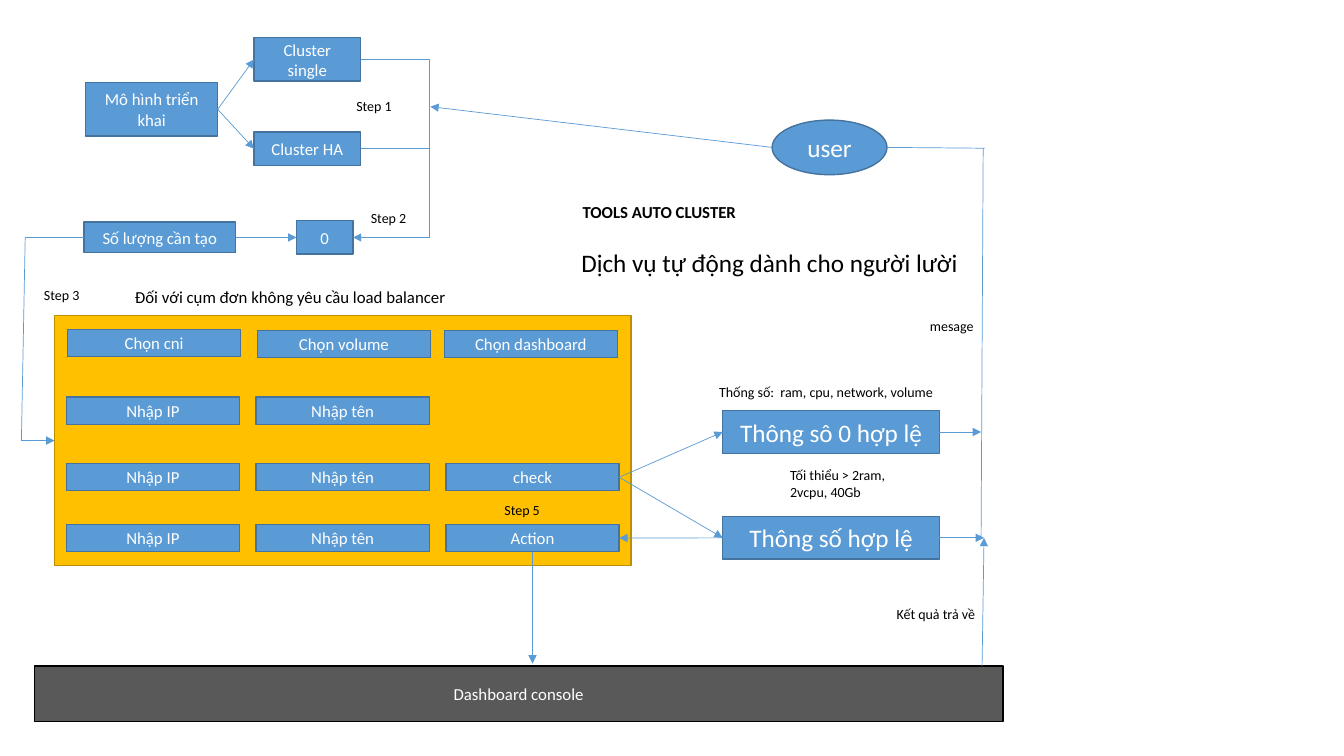
"""Build the flow chart slide of the automatic cluster tool."""
import pptx
import pptx.dml.color
import pptx.enum.shapes
import pptx.enum.text
import pptx.oxml
import pptx.oxml.ns
import pptx.util

Pt = pptx.util.Pt
RECT = pptx.enum.shapes.MSO_SHAPE.RECTANGLE
OVAL = pptx.enum.shapes.MSO_SHAPE.OVAL
STRAIGHT = pptx.enum.shapes.MSO_CONNECTOR.STRAIGHT
BLUE, BLUE_EDGE = "5B9BD5", "43739E"


def paint(color_format, color):
    color_format.rgb = pptx.dml.color.RGBColor.from_string(color)


def write(sp, text, size, color, bold=False):
    tf = sp.text_frame
    tf.word_wrap = True
    tf.text = text
    r = tf.paragraphs[0].runs[0]
    r.font.name = "Calibri"
    r.font.size = Pt(size)
    r.font.bold = bold
    paint(r.font.color, color)


prs = pptx.Presentation()
prs.slide_width, prs.slide_height = Pt(960), Pt(540)
s = prs.slides.add_slide(prs.slide_layouts[6])

boxes = [
    ("", RECT, 39, 225.4, 411.8, 178.6, 12, "FFC000", "BD8E00"),
    ("Số lượng cần tạo", RECT, 60, 158.6, 108.3, 22, 12, BLUE, BLUE_EDGE),
    ("0", RECT, 211.8, 157.7, 40.3, 23.8, 12, BLUE, BLUE_EDGE),
    ("Mô hình triển khai", RECT, 61.2, 59, 94.3, 38.2, 12, BLUE, BLUE_EDGE),
    ("Cluster single", RECT, 181.4, 27, 76.3, 31, 12, BLUE, BLUE_EDGE),
    ("Cluster HA", RECT, 181.4, 94.3, 76.3, 23.8, 12, BLUE, BLUE_EDGE),
    ("Chọn cni", RECT, 48.2, 235.4, 123.8, 19.4, 12, BLUE, BLUE_EDGE),
    ("Chọn volume", RECT, 183.8, 236.2, 123.8, 19.4, 12, BLUE, BLUE_EDGE),
    ("Chọn dashboard", RECT, 317.3, 236.2, 123.8, 19.4, 12, BLUE, BLUE_EDGE),
    ("Dashboard console", RECT, 24.5, 475.8, 691.9, 39.6, 12, "595959", "000000"),
    ("Thông sô 0 hợp lệ", RECT, 516.2, 293.4, 154.8, 30.4, 18, BLUE, BLUE_EDGE),
    ("Thông số hợp lệ", RECT, 516.2, 369, 154.8, 30.4, 18, BLUE, BLUE_EDGE),
    ("user", OVAL, 551.5, 85.8, 82.1, 39, 18, BLUE, BLUE_EDGE),
]
for top, action in [(283.7, ""), (331.2, "check"), (374.6, "Action")]:
    for column, text in enumerate(["Nhập IP", "Nhập tên", action]):
        if text:
            left = 47.3 + 135.6 * column
            boxes.append((text, RECT, left, top, 123.8, 19.4, 12, BLUE, BLUE_EDGE))

shapes = {}
for text, kind, left, top, width, height, size, fill, edge in boxes:
    sp = s.shapes.add_shape(kind, Pt(left), Pt(top), Pt(width), Pt(height))
    sp.shadow.inherit = False
    sp.fill.solid()
    paint(sp.fill.fore_color, fill)
    paint(sp.line.color, edge)
    sp.line.width = Pt(1)
    if text:
        write(sp, text, size, "FFFFFF")
        sp.text_frame.vertical_anchor = pptx.enum.text.MSO_ANCHOR.MIDDLE
        sp.text_frame.paragraphs[0].alignment = pptx.enum.text.PP_ALIGN.CENTER
    shapes[text] = sp

labels = [
    ("TOOLS AUTO CLUSTER", 409, 140.4, 128.2, 21.6, 12, True),
    ("Dịch vụ tự động dành cho người lười", 408.2, 173, 293, 29, 18, False),
    ("Đối với cụm đơn không yêu cầu load balancer", 89.3, 201, 370.8, 21.6, 12, False),
    ("Step 1", 247.4, 66.2, 46, 19.4, 10, False),
    ("Step 2", 257.8, 146.2, 46, 19.4, 10, False),
    ("Step 3", 24.3, 201, 46, 19.4, 10, False),
    ("Step 5", 353.2, 355, 46, 19.4, 10, False),
    ("mesage", 657.2, 223.4, 50, 19.4, 10, False),
    ("Thống số:  ram, cpu, network, volume", 506.6, 270.4, 177, 19.4, 10, False),
    ("Tối thiểu > 2ram, 2vcpu, 40Gb", 557.3, 330, 109.4, 31.7, 10, False),
    ("Kết quả trả về", 633.4, 429.2, 77.8, 19.4, 10, False),
]
for text, left, top, width, height, size, bold in labels:
    sp = s.shapes.add_textbox(Pt(left), Pt(top), Pt(width), Pt(height))
    write(sp, text, size, "000000", bold)
    sp.text_frame.auto_size = pptx.enum.text.MSO_AUTO_SIZE.SHAPE_TO_FIT_TEXT

TOP, LEFT, BOTTOM, RIGHT = range(4)
links = [
    (("Mô hình triển khai", RIGHT), ("Cluster single", LEFT), True),
    (("Mô hình triển khai", RIGHT), ("Cluster HA", LEFT), True),
    (("Số lượng cần tạo", RIGHT), ("0", LEFT), True),
    (("Cluster single", RIGHT), (306.9, 42.5), False),
    (("Cluster HA", RIGHT), (306.9, 106.2), False),
    ((306.9, 42.5), (306.9, 169.6), False),
    ((306.9, 169.6), ("0", RIGHT), True),
    (("Số lượng cần tạo", LEFT), (18, 169.6), False),
    ((18, 169.6), (15.3, 314.7), False),
    ((15.3, 314.7), ("", LEFT), True),
    (("Action", BOTTOM), (380.4, 474), True),
    (("check", RIGHT), ("Thông sô 0 hợp lệ", LEFT), True),
    (("check", RIGHT), ("Thông số hợp lệ", LEFT), True),
    (("Thông số hợp lệ", LEFT), ("Action", RIGHT), True),
    (("Thông sô 0 hợp lệ", RIGHT), (700.8, 308.6), True),
    (("Thông số hợp lệ", RIGHT), (702.9, 384.2), True),
    ((551.5, 105.3), (307.4, 76.2), True),
    ((633.6, 105.3), (703.4, 105.9), False),
    ((702.3, 105.9), (700.8, 384.2), False),
    ((701.5, 475.8), (702.9, 384.2), True),
]
for start, end, arrow in links:
    x1, y1 = (0, 0) if isinstance(start[0], str) else start
    x2, y2 = (0, 0) if isinstance(end[0], str) else end
    line = s.shapes.add_connector(STRAIGHT, Pt(x1), Pt(y1), Pt(x2), Pt(y2))
    if isinstance(start[0], str):
        line.begin_connect(shapes[start[0]], start[1])
    if isinstance(end[0], str):
        line.end_connect(shapes[end[0]], end[1])
    paint(line.line.color, BLUE)
    line.line.width = Pt(0.5)
    if arrow:
        tail = pptx.oxml.parse_xml(f'<a:tailEnd {pptx.oxml.ns.nsdecls("a")} type="triangle"/>')
        line.line._get_or_add_ln().append(tail)
    effects = pptx.oxml.parse_xml(f'<a:effectLst {pptx.oxml.ns.nsdecls("a")}/>')
    line._element.spPr.append(effects)

prs.save("out.pptx")
